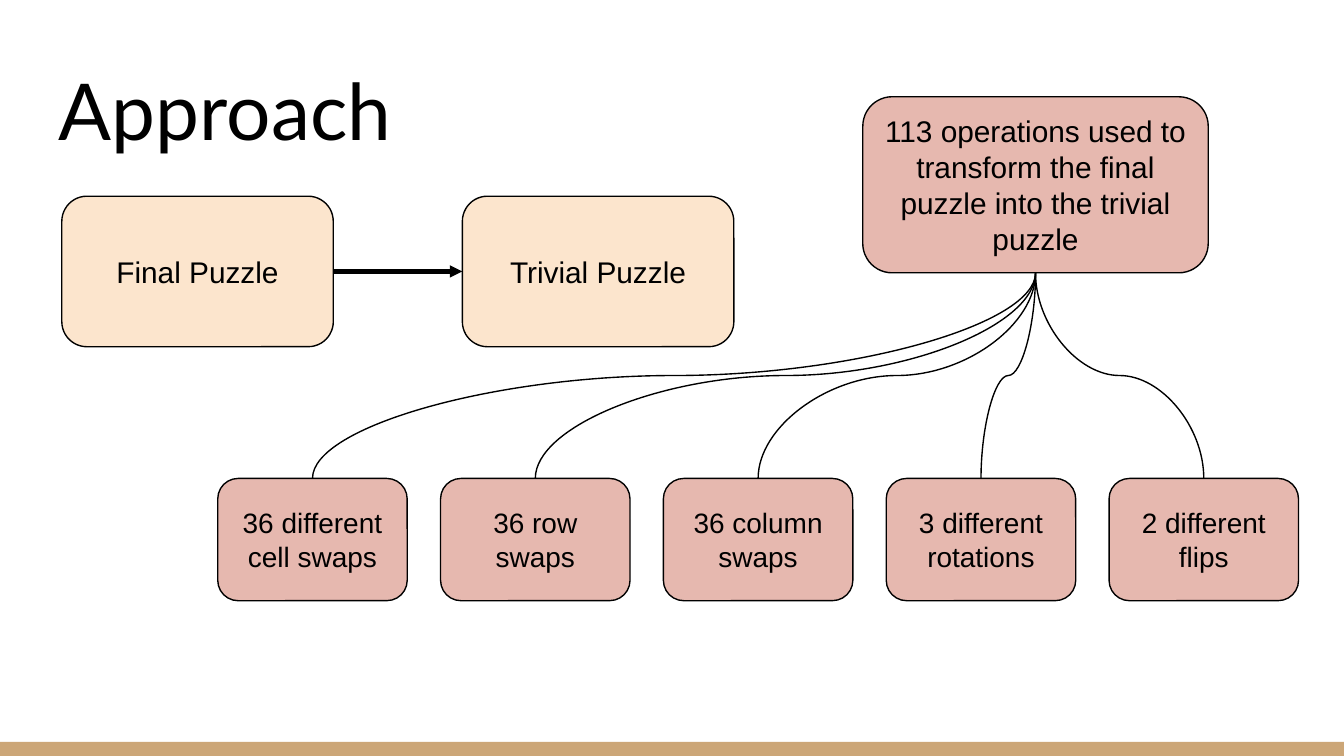
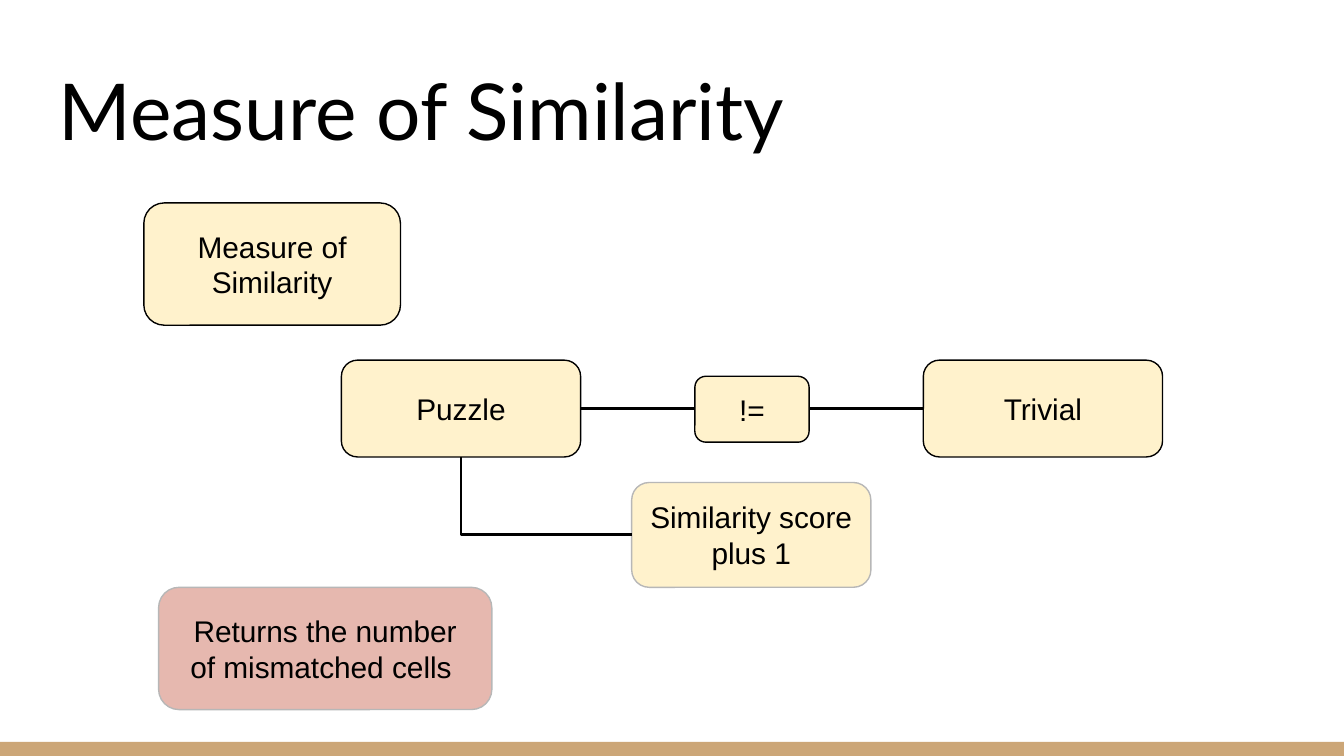
"""Build two slides on a puzzle solver: the approach and the similarity measure."""
from lxml import etree
from pptx import Presentation
from pptx import util as u
from pptx.dml.color import RGBColor
from pptx.enum import shapes, text
from pptx.oxml.ns import qn

deck = Presentation()
deck.slide_width, deck.slide_height = u.Inches(10), u.Inches(5.625)
cell = deck.slide_width // 100
rows = deck.slide_height / cell

BLACK, GREY, TAN = "000000", "B7B7B7", "CCA677"
PEACH, ROSE, CREAM = "FCE5CD", "E6B8AF", "FFF2CC"
KIND = shapes.MSO_SHAPE
LINK = shapes.MSO_CONNECTOR


def ink(part, code):
    """Colour a fill or font with a hex string."""
    if hasattr(part, "solid"):
        part.solid()
        part = part.fore_color
    else:
        part = part.color
    part.rgb = RGBColor.from_string(code)


def write(shape, words, size, face, anchor, align):
    """Put one run of text in a shape."""
    frame = shape.text_frame
    frame.word_wrap = True
    frame.vertical_anchor = anchor
    frame.margin_left = frame.margin_right = cell
    frame.margin_top = frame.margin_bottom = cell
    para = frame.paragraphs[0]
    para.alignment = align
    run = para.add_run()
    run.text = words
    run.font.size, run.font.name = u.Pt(size), face
    ink(run.font, BLACK)


steps = ["36 different cell swaps", "36 row swaps", "36 column swaps",
         "3 different rotations", "2 different flips"]
first, pitch, wide, top = 16.2, 16.58, 14.1, 35.6
lefts = [first + pitch * i for i in range(len(steps))]
root = (77.05, 20.3)

plan = [
    ("Approach",
     [("Final Puzzle", 4.6, 14.6, 20.2, 11.2, PEACH, BLACK, 16),
      ("Trivial Puzzle", 34.4, 14.6, 20.2, 11.2, PEACH, BLACK, 16),
      ("113 operations used to transform the final puzzle into the trivial puzzle",
       64.2, 7.2, 25.7, 13.1, ROSE, BLACK, 16)]
     + [(step, left, top, wide, 9.1, ROSE, BLACK, 15)
        for step, left in zip(steps, lefts)],
     [(LINK.STRAIGHT, (24.8, 20.2), (34.4, 20.2), 2.25)]
     + [(LINK.CURVE, root, (left + wide / 2, top), 0.75) for left in lefts]),
    ("Measure of Similarity",
     [("Measure of Similarity", 10.7, 15.1, 19.1, 9.1, CREAM, BLACK, 16),
      ("Puzzle", 25.4, 26.8, 17.8, 7.2, CREAM, BLACK, 16),
      ("Trivial", 68.7, 26.8, 17.8, 7.2, CREAM, BLACK, 16),
      ("!=", 51.7, 28, 8.5, 4.9, CREAM, BLACK, 16),
      ("Similarity score plus 1", 47, 35.9, 17.8, 7.8, CREAM, GREY, 16),
      ("Returns the number of mismatched cells ",
       11.8, 43.7, 24.8, 9.1, ROSE, GREY, 16)],
     [(LINK.STRAIGHT, (43.2, 30.4), (51.7, 30.4), 1.5),
      (LINK.STRAIGHT, (60.2, 30.4), (68.7, 30.4), 1.5),
      (LINK.ELBOW, (34.3, 34), (47, 39.8), 1.5)]),
]

for title, boxes, links in plan:
    page = deck.slides.add_slide(deck.slide_layouts[6])
    ink(page.background.fill, "FFFFFF")
    art = page.shapes

    band = art.add_shape(KIND.RECTANGLE, 0, int((rows - 1.05) * cell),
                         deck.slide_width, int(1.05 * cell))
    band.shadow.inherit = False
    ink(band.fill, TAN)
    band.line.fill.background()

    head = art.add_textbox(*[int(n * cell) for n in (3.4, 3.5, 93.2, 9.1)])
    write(head, title, 42, "Lato", text.MSO_ANCHOR.BOTTOM, text.PP_ALIGN.LEFT)

    for words, *area, fill, edge, size in boxes:
        box = art.add_shape(KIND.ROUNDED_RECTANGLE, *[int(n * cell) for n in area])
        box.shadow.inherit = False
        ink(box.fill, fill)
        ink(box.line.fill, edge)
        box.line.width = u.Pt(0.75)
        write(box, words, size, "Arial", text.MSO_ANCHOR.MIDDLE, text.PP_ALIGN.CENTER)

    for kind, (x1, y1), (x2, y2), weight in links:
        ends, turn = (x1, y1, x2, y2), 0
        if kind != LINK.STRAIGHT:
            midx, midy = (x1 + x2) / 2, (y1 + y2) / 2
            half, tall = (y2 - y1) / 2, abs(x2 - x1) / 2
            turn = 90 if x2 < x1 else 270
            side = half if turn == 90 else -half
            ends = (midx - side, midy - tall, midx + side, midy + tall)
        line = art.add_connector(kind, *[int(n * cell) for n in ends])
        ink(line.line.fill, BLACK)
        line.line.width = u.Pt(weight)
        props = line._element.spPr
        if turn:
            props.find(qn("a:xfrm")).set("rot", str(turn * 60000))
        if kind == LINK.ELBOW:
            props.find(qn("a:prstGeom")).set("prst", "bentConnector2")
        if weight > 2:
            etree.SubElement(props.find(qn("a:ln")), qn("a:tailEnd"), type="triangle")
        etree.SubElement(props, qn("a:effectLst"))

deck.save("out.pptx")
